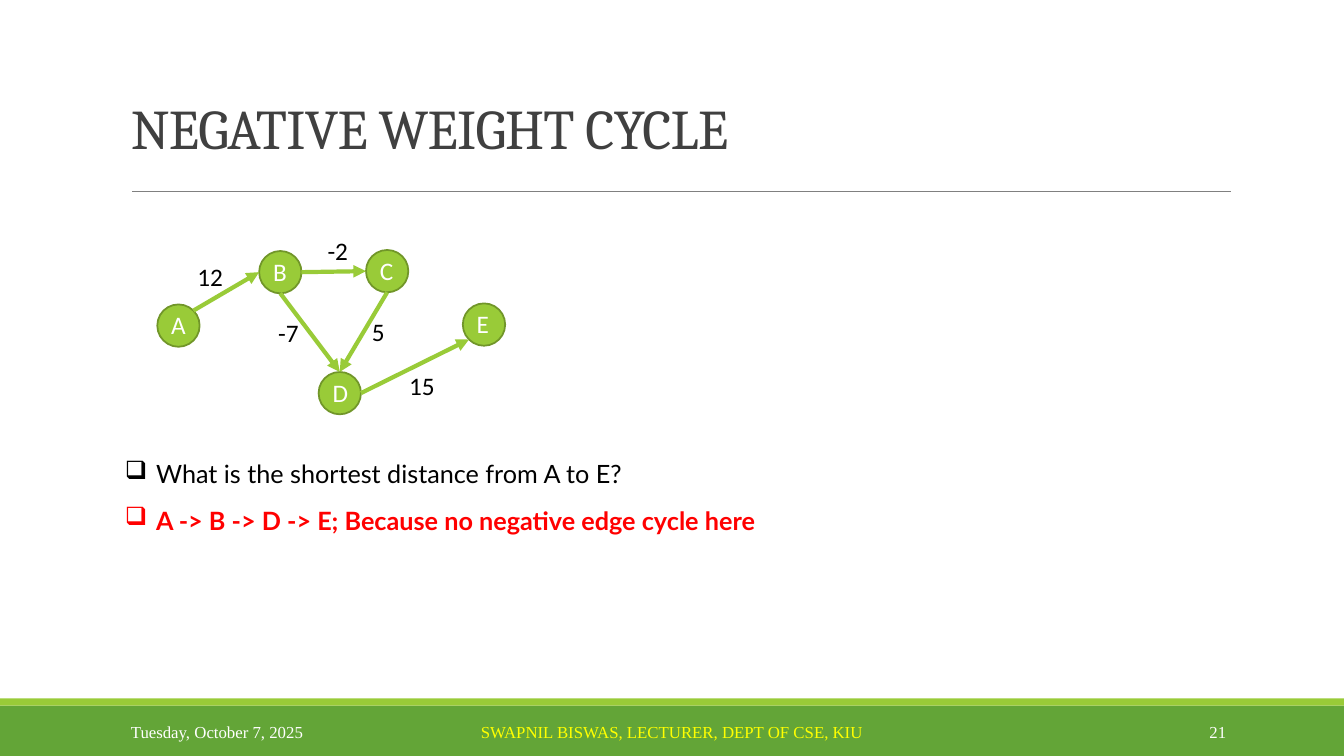
from dataclasses import dataclass
from math import cos, radians, sin

from pptx import Presentation
from pptx.dml.color import RGBColor
from pptx.enum.shapes import MSO_CONNECTOR as Connector, MSO_SHAPE as Shape
from pptx.enum.text import MSO_ANCHOR as Anchor, MSO_AUTO_SIZE as AutoSize, PP_ALIGN as Align
from pptx.oxml.ns import qn
from pptx.util import Inches, Pt


@dataclass(frozen=True)
class Theme:
    green: str = "99CB38"
    dark_green: str = "63A537"
    node_outline: str = "719629"
    rule: str = "808080"
    title: str = "404040"
    black: str = "000000"
    white: str = "FFFFFF"
    yellow: str = "FFFF00"
    red: str = "FF0000"
    title_font: str = "Cambria"
    graph_font: str = "Calibri"
    body_font: str = "Lato"
    footer_font: str = "Times New Roman"
    title_size: int = 40
    body_size: int = 18
    footer_size: int = 12


DIAMETER = 0.42
TEXT_HEIGHT = 0.4

# name: left and top of the circle, width of its letter box
NODES = {
    "A": (1.56, 3.02, 0.35),
    "B": (2.57, 2.49, 0.34),
    "C": (3.63, 2.48, 0.34),
    "E": (4.59, 3.01, 0.32),
    "D": (3.16, 3.69, 0.36),
}

TOP, TOP_RIGHT, RIGHT, BOTTOM, BOTTOM_LEFT, LEFT = 270, 315, 0, 90, 135, 180

# start, side it leaves, end, side it reaches, weight, left, top and width of the weight
EDGES = [
    ("A", TOP_RIGHT, "B", LEFT, "12", 1.86, 2.54, 0.46),
    ("B", RIGHT, "C", LEFT, "-2", 3.15, 2.29, 0.41),
    ("C", BOTTOM, "D", TOP, "5", 3.59, 3.09, 0.33),
    ("D", RIGHT, "E", BOTTOM_LEFT, "15", 3.96, 3.62, 0.46),
    ("B", BOTTOM, "D", TOP, "-7", 2.66, 3.1, 0.41),
]


def rim_point(node, angle):
    """Return the point of a node's circle at an angle, clockwise from the right."""
    left, top, _ = NODES[node]
    radius = DIAMETER / 2
    return (left + radius * (1 + cos(radians(angle))),
            top + radius * (1 + sin(radians(angle))))


class SlideBuilder:
    def __init__(self, slide, theme):
        self.slide = slide
        self.theme = theme

    def shape(self, kind, left, top, width, height, fill, outline=None, parent=None):
        shapes = (parent or self.slide).shapes
        shape = shapes.add_shape(kind, Inches(left), Inches(top), Inches(width), Inches(height))
        shape.shadow.inherit = False
        shape.fill.solid()
        shape.fill.fore_color.rgb = RGBColor.from_string(fill)
        if outline:
            shape.line.color.rgb = RGBColor.from_string(outline)
            shape.line.width = Pt(1.25)
        else:
            shape.line.fill.background()

    def text(self, text, left, top, width, height, font, size, color, align=Align.LEFT,
             anchor=Anchor.MIDDLE, wrap=True, bold=False, parent=None):
        """Add a text box and return its only paragraph."""
        shapes = (parent or self.slide).shapes
        box = shapes.add_textbox(Inches(left), Inches(top), Inches(width), Inches(height))
        frame = box.text_frame
        frame.word_wrap = wrap
        frame.vertical_anchor = anchor
        if not wrap:
            frame.auto_size = AutoSize.SHAPE_TO_FIT_TEXT
        paragraph = frame.paragraphs[0]
        paragraph.alignment = align
        run = paragraph.add_run()
        run.text = text
        run.font.name = font
        run.font.size = Pt(size)
        run.font.bold = bold
        run.font.color.rgb = RGBColor.from_string(color)
        return paragraph

    def title(self, text):
        theme = self.theme
        paragraph = self.text(text, 1.2, 0.06, 11, 1.59, theme.title_font, theme.title_size,
                              theme.title, anchor=Anchor.BOTTOM)
        paragraph.line_spacing = 0.85
        paragraph.runs[0].font._element.set("spc", "-50")

    def footer(self, text, left, width, color, align):
        self.text(text, left, 7.06, width, TEXT_HEIGHT, self.theme.footer_font,
                  self.theme.footer_size, color, align)

    def label(self, text, left, top, width, color, parent=None):
        self.text(text, left, top, width, TEXT_HEIGHT, self.theme.graph_font,
                  self.theme.body_size, color, anchor=Anchor.TOP, wrap=False, parent=parent)

    def bullet(self, text, top, width, color, bold=False):
        paragraph = self.text(text, 1.14, top, width, TEXT_HEIGHT, self.theme.body_font,
                              self.theme.body_size, color, anchor=Anchor.TOP, wrap=False,
                              bold=bold)
        properties = paragraph._p.get_or_add_pPr()
        indent = Inches(0.31)
        properties.set("marL", str(indent))
        properties.set("indent", str(-indent))
        mark = properties.makeelement(qn("a:buChar"), {"char": "❑"})
        properties.append(mark)

    def line(self, start, end, color, width, arrow=False):
        connector = self.slide.shapes.add_connector(
            Connector.STRAIGHT, *(Inches(value) for value in (*start, *end)))
        connector.line.color.rgb = RGBColor.from_string(color)
        connector.line.width = Pt(width)
        if arrow:
            outline = connector.line._get_or_add_ln()
            outline.append(outline.makeelement(qn("a:tailEnd"), {"type": "triangle"}))
        properties = connector._element.spPr
        properties.append(properties.makeelement(qn("a:effectLst"), {}))

    def node(self, name):
        left, top, width = NODES[name]
        theme = self.theme
        group = self.slide.shapes.add_group_shape()
        self.shape(Shape.OVAL, left, top, DIAMETER, DIAMETER, theme.green,
                   theme.node_outline, group)
        self.label(name, left + 0.04, top, width, theme.white, group)

    def edge(self, start, start_side, end, end_side, weight, left, top, width):
        self.line(rim_point(start, start_side), rim_point(end, end_side),
                  self.theme.green, 3, arrow=True)
        self.label(weight, left, top, width, self.theme.black)


def main():
    presentation = Presentation()
    presentation.slide_width = Inches(13.33)
    presentation.slide_height = Inches(7.5)
    slide = presentation.slides.add_slide(presentation.slide_layouts[6])
    theme = Theme()
    builder = SlideBuilder(slide, theme)

    builder.shape(Shape.RECTANGLE, 0, 7, 13.33, 0.5, theme.dark_green)
    builder.shape(Shape.RECTANGLE, 0, 6.93, 13.33, 0.07, theme.green)
    builder.line((1.31, 1.9), (12.21, 1.9), theme.rule, 0.5)
    builder.shape(Shape.RECTANGLE, 11.74, 0.42, 1.32, 1.23, theme.white)

    builder.title("NEGATIVE WEIGHT CYCLE")
    builder.footer("Tuesday, October 7, 2025", 1.2, 2.7, theme.white, Align.LEFT)
    builder.footer("SWAPNIL BISWAS, LECTURER, DEPT OF CSE, KIU", 4.03, 5.27, theme.yellow,
                   Align.CENTER)
    builder.footer("21", 10.83, 1.43, theme.white, Align.RIGHT)

    for name in NODES:
        builder.node(name)
    for edge in EDGES:
        builder.edge(*edge)

    builder.bullet("What is the shortest distance from A to E?", 4.5, 5.2, theme.black)
    builder.bullet("A -> B -> D -> E; Because no negative edge cycle here", 4.96, 6.97,
                   theme.red, bold=True)

    presentation.save("out.pptx")


if __name__ == "__main__":
    main()
